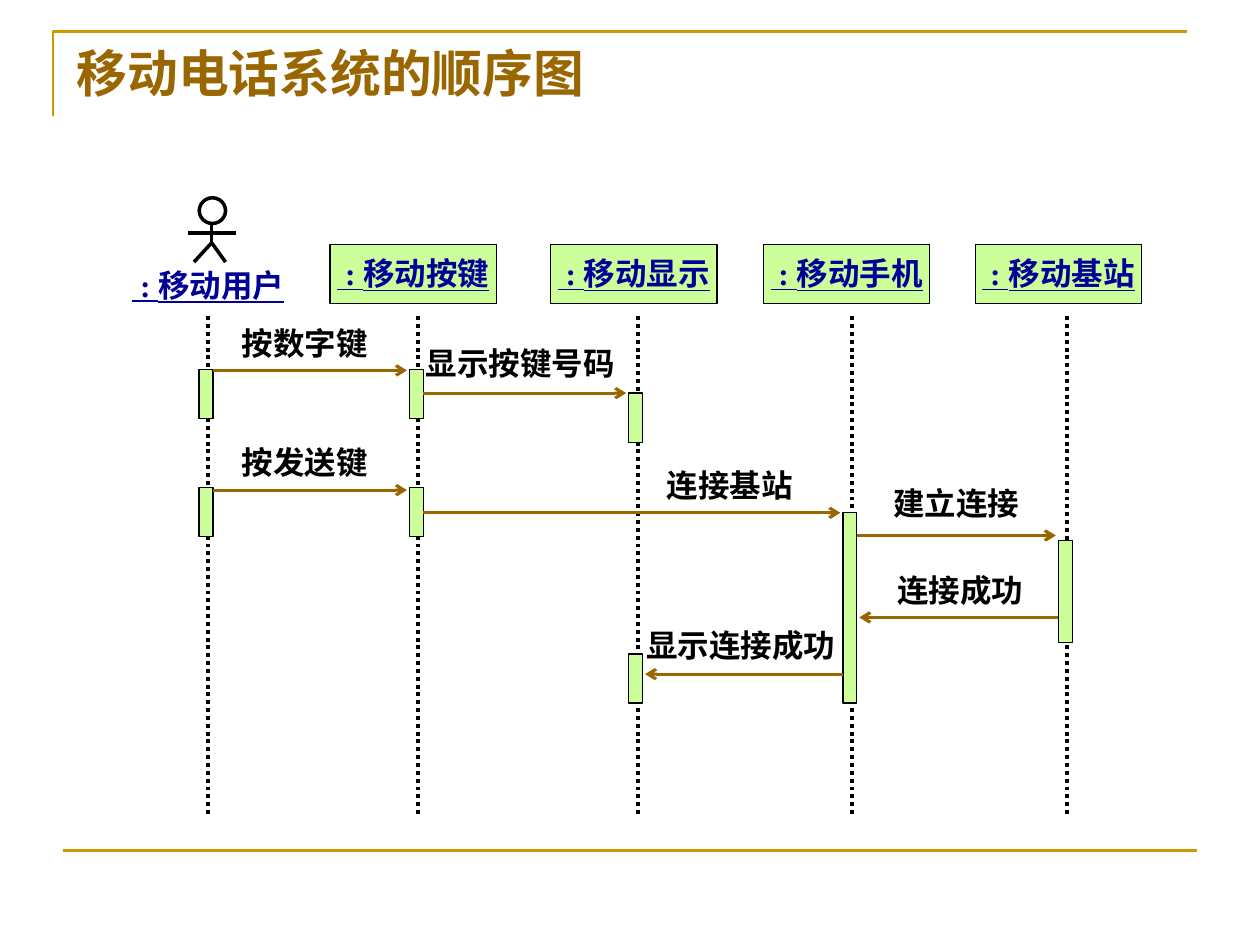
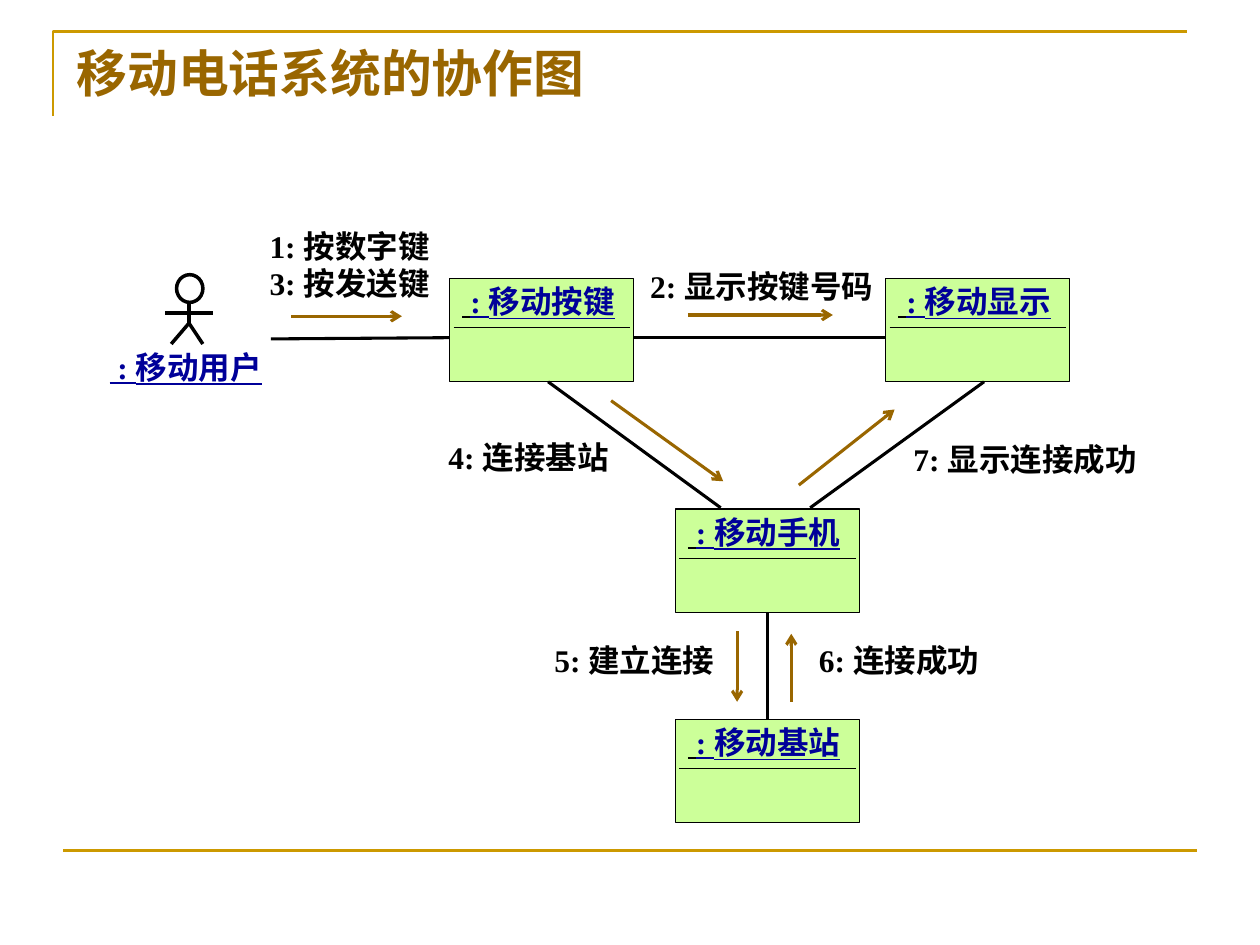
from dataclasses import dataclass

from lxml.etree import SubElement
from pptx import Presentation
from pptx.dml.color import RGBColor
from pptx.enum.dml import MSO_LINE
from pptx.enum.shapes import MSO_CONNECTOR, MSO_SHAPE
from pptx.enum.text import MSO_ANCHOR, PP_ALIGN
from pptx.oxml.ns import qn
from pptx.util import Emu, Inches, Pt

SLIDE_WIDTH, SLIDE_HEIGHT = Inches(10), Inches(7.5)
GRID_COLUMNS = 100
CELL = SLIDE_WIDTH / GRID_COLUMNS

GOLD = RGBColor(0xCC, 0x99, 0x00)
BROWN = RGBColor(0x99, 0x66, 0x00)
NAVY = RGBColor(0x00, 0x00, 0x99)
BLACK = RGBColor(0x00, 0x00, 0x00)
LIME = RGBColor(0xCC, 0xFF, 0x99)
FONT = "Times New Roman"

USER = "移动用户"
KEYPAD, DISPLAY, PHONE, STATION = "移动按键", "移动显示", "移动手机", "移动基站"
BAR_WIDTH = 1.1
BAR_OFFSET = 0.7
ARROW_GAP = 0.2


def cells(count):
    """Turn a number of grid cells into a length."""
    return Emu(round(count * CELL))


@dataclass
class Box:
    """A rectangle measured in grid cells."""

    left: float
    top: float
    width: float
    height: float

    def inner(self, left, top, width, height):
        """Return a box placed relative to this one."""
        return Box(self.left + left, self.top + top, width, height)

    def point(self, column, row):
        """Return the grid position of a point relative to this box."""
        return self.left + column, self.top + row

    def share(self, across, down):
        """Return the grid position at shares of this box's size."""
        return self.point(across * self.width, down * self.height)

    def lengths(self):
        """Return left, top, width and height as lengths."""
        return [cells(side) for side in (self.left, self.top, self.width, self.height)]


def draw_line(slide, start, end, color, width, dash=None, arrow=False):
    """Draw a straight line between two grid positions."""
    ends = [cells(value) for value in (*start, *end)]
    connector = slide.shapes.add_connector(MSO_CONNECTOR.STRAIGHT, *ends)
    connector.line.color.rgb = color
    connector.line.width = Pt(width)
    if dash:
        connector.line.dash_style = dash
    properties = connector._element.spPr
    if arrow:
        SubElement(properties.find(qn("a:ln")), qn("a:tailEnd"), type="arrow")
    SubElement(properties, qn("a:effectLst"))
    return connector


def draw_shape(slide, kind, box, line_width, fill=None):
    """Draw a black-outlined preset shape."""
    shape = slide.shapes.add_shape(kind, *box.lengths())
    shape.shadow.inherit = False
    shape.line.color.rgb = BLACK
    shape.line.width = Pt(line_width)
    if fill:
        shape.fill.solid()
        shape.fill.fore_color.rgb = fill
    else:
        shape.fill.background()
    return shape


def style_paragraph(paragraph, size, color, underline=None):
    """Give a paragraph the deck's bold font."""
    paragraph.font.name = FONT
    paragraph.font.size = Pt(size)
    paragraph.font.bold = True
    paragraph.font.underline = underline
    paragraph.font.color.rgb = color


def write_name(frame, name, lead_color=NAVY):
    """Write an underlined object name, its leading space in its own colour."""
    frame.word_wrap = False
    paragraph = frame.paragraphs[0]
    paragraph.alignment = PP_ALIGN.CENTER
    style_paragraph(paragraph, 18, NAVY, underline=True)
    for text, color in ((" ", lead_color), (f": {name}", NAVY)):
        run = paragraph.add_run()
        run.text = text
        run.font.color.rgb = color


def add_label(slide, center, top, *lines):
    """Place centred message text around a grid column."""
    width = 2 + max(sum(2.5 if ord(letter) > 255 else 1.1 for letter in line) for line in lines)
    box = Box(center - width / 2, top, width, 1 + 3 * len(lines))
    frame = slide.shapes.add_textbox(*box.lengths()).text_frame
    frame.word_wrap = False
    for index, line in enumerate(lines):
        paragraph = frame.add_paragraph() if index else frame.paragraphs[0]
        paragraph.text = line
        paragraph.alignment = PP_ALIGN.CENTER
        style_paragraph(paragraph, 18, BLACK)


def add_actor(slide, box, name):
    """Draw a stick figure filling the box, with its name beneath."""
    head = Box(*box.share(0.24, 0), box.width * 0.55, box.height * 0.4)
    draw_shape(slide, MSO_SHAPE.OVAL, head, 2)
    neck, waist = box.share(0.5, 0.4), box.share(0.5, 0.7)
    limbs = [
        (waist, box.share(0.13, 1)),
        (waist, box.share(0.79, 1)),
        (neck, waist),
        (box.share(0, 0.55), box.share(1, 0.55)),
    ]
    for start, end in limbs:
        draw_line(slide, start, end, BLACK, 2)
    label = box.inner(box.width * 0.43 - 7.35, box.height - 0.2, 14.7, 4)
    frame = slide.shapes.add_textbox(*label.lengths()).text_frame
    frame.vertical_anchor = MSO_ANCHOR.MIDDLE
    write_name(frame, name)


def add_object_box(slide, box, name, top_inset, right_inset=0, lead_color=NAVY):
    """Draw a filled object box with its name at the top."""
    shape = draw_shape(slide, MSO_SHAPE.RECTANGLE, box, 0.75, LIME)
    frame = shape.text_frame
    frame.vertical_anchor = MSO_ANCHOR.TOP
    frame.margin_left = frame.margin_bottom = 0
    frame.margin_top = cells(top_inset)
    frame.margin_right = cells(right_inset)
    write_name(frame, name, lead_color)
    return shape


def add_frame(slide, title):
    """Draw the shared corner rule, bottom rule and title."""
    builder = slide.shapes.build_freeform(cells(4.2), cells(9.2))
    corner = [(cells(4.2), cells(2.5)), (cells(94.2), cells(2.5))]
    builder.add_line_segments(corner, close=False)
    rule = builder.convert_to_shape()
    rule.shadow.inherit = False
    rule.fill.background()
    rule.line.color.rgb = GOLD
    rule.line.width = Pt(1.5)
    draw_line(slide, (5, 67.5), (95, 67.5), GOLD, 1.5)
    frame = slide.shapes.add_textbox(*Box(5.1, 2.8, 90, 8.3).lengths()).text_frame
    frame.word_wrap = True
    frame.text = title
    style_paragraph(frame.paragraphs[0], 29, BROWN)


def add_sequence_diagram(slide, region):
    """Draw participants, lifelines, activations and messages in the region."""
    lifelines = [7.5, 24.2, 41.6, 58.6, 75.7]
    heads = [(17.2, KEYPAD), (34.7, DISPLAY), (51.6, PHONE), (68.4, STATION)]
    activations = [
        (0, 14.3, 3.9), (1, 14.3, 3.9), (2, 16.2, 3.9), (0, 23.7, 3.9),
        (1, 23.7, 3.9), (3, 25.7, 15.1), (4, 27.9, 8.1), (2, 36.9, 3.9),
    ]
    messages = [
        (0, 1, 14.4, "按数字键", 15.2, 10.2),
        (1, 2, 16.2, "显示按键号码", 32.3, 11.8),
        (0, 1, 23.9, "按发送键", 15.2, 19.7),
        (1, 3, 25.7, "连接基站", 48.9, 21.5),
        (3, 4, 27.5, "建立连接", 66.9, 22.9),
        (4, 3, 34, "连接成功", 67.2, 29.8),
        (3, 2, 38.5, "显示连接成功", 49.8, 34.2),
    ]
    add_actor(slide, region.inner(5.9, 0.7, 3.8, 5.1), USER)
    for left, name in heads:
        add_object_box(slide, region.inner(left, 4.4, 13.2, 4.7), name, 0.8)
    for column in lifelines:
        draw_line(slide, region.point(column, 10.1), region.point(column, region.height - 0.1),
                  BLACK, 2.25, dash=MSO_LINE.ROUND_DOT)
    bar_lefts = [column - BAR_OFFSET for column in lifelines]
    for index, top, height in activations:
        bar = region.inner(bar_lefts[index], top, BAR_WIDTH, height)
        draw_shape(slide, MSO_SHAPE.RECTANGLE, bar, 0.75, LIME)
    for sender, receiver, row, text, center, label_top in messages:
        start, end = bar_lefts[sender], bar_lefts[receiver]
        if sender < receiver:
            start, end = start + BAR_WIDTH, end - ARROW_GAP
        else:
            end += BAR_WIDTH + ARROW_GAP
        draw_line(slide, region.point(start, row), region.point(end, row), BROWN, 1.75, arrow=True)
        add_label(slide, *region.point(center, label_top), text)


def add_class_box(slide, box, name):
    """Draw an object box with a divider under its name."""
    shape = add_object_box(slide, box, name, 0.3, 0.5, BLACK)
    draw_line(slide, box.point(0.3, 3.9), box.point(box.width - 0.3, 3.9), BLACK, 0.75)
    return shape


def add_collaboration_diagram(slide, region):
    """Draw linked objects with numbered messages in the region."""
    objects = [(28.7, 5.1, KEYPAD), (63.3, 5.1, DISPLAY), (46.6, 23.4, PHONE), (46.6, 40.1, STATION)]
    links = [
        (14.5, 9.9, 28.7, 9.8), (43.3, 9.8, 63.3, 9.8),
        (36.5, 13.3, 50.2, 23.3), (71.1, 13.3, 57.3, 23.3),
    ]
    arrows = [
        (16.1, 8.1, 24.9, 8.1), (47.6, 8, 59.1, 8), (41.5, 14.8, 50.4, 21.2),
        (56.4, 21.5, 64, 15.5), (51.5, 33.1, 51.5, 38.7), (55.8, 38.7, 55.8, 33.3),
    ]
    labels = [
        (20.75, 0.5, "1: 按数字键", "3: 按发送键"),
        (53.45, 3.7, "2: 显示按键号码"),
        (34.95, 17.3, "4: 连接基站"),
        (43.35, 33.4, "5: 建立连接"),
        (64.35, 33.4, "6: 连接成功"),
        (74.35, 17.4, "7: 显示连接成功"),
    ]
    add_actor(slide, region.inner(6.1, 4.8, 3.8, 5.5), USER)
    boxes = {name: add_class_box(slide, region.inner(left, top, 14.6, 8.2), name)
             for left, top, name in objects}
    for left, top, right, bottom in links:
        draw_line(slide, region.point(left, top), region.point(right, bottom), BLACK, 1.75)
    link = draw_line(slide, region.point(53.9, 31.6), region.point(53.9, 40.1), BLACK, 1.75)
    link.begin_connect(boxes[PHONE], 2)
    link.end_connect(boxes[STATION], 0)
    for left, top, right, bottom in arrows:
        draw_line(slide, region.point(left, top), region.point(right, bottom), BROWN, 1.75, arrow=True)
    for center, top, *lines in labels:
        add_label(slide, *region.point(center, top), *lines)


def main():
    """Build both slides and save the deck."""
    presentation = Presentation()
    presentation.slide_width, presentation.slide_height = SLIDE_WIDTH, SLIDE_HEIGHT
    pages = [
        ("移动电话系统的顺序图", add_sequence_diagram, Box(9, 15, 82, 50)),
        ("移动电话系统的协作图", add_collaboration_diagram, Box(7, 17, 85, 49)),
    ]
    for title, add_diagram, region in pages:
        slide = presentation.slides.add_slide(presentation.slide_layouts[6])
        add_frame(slide, title)
        add_diagram(slide, region)
    presentation.save("out.pptx")


if __name__ == "__main__":
    main()
